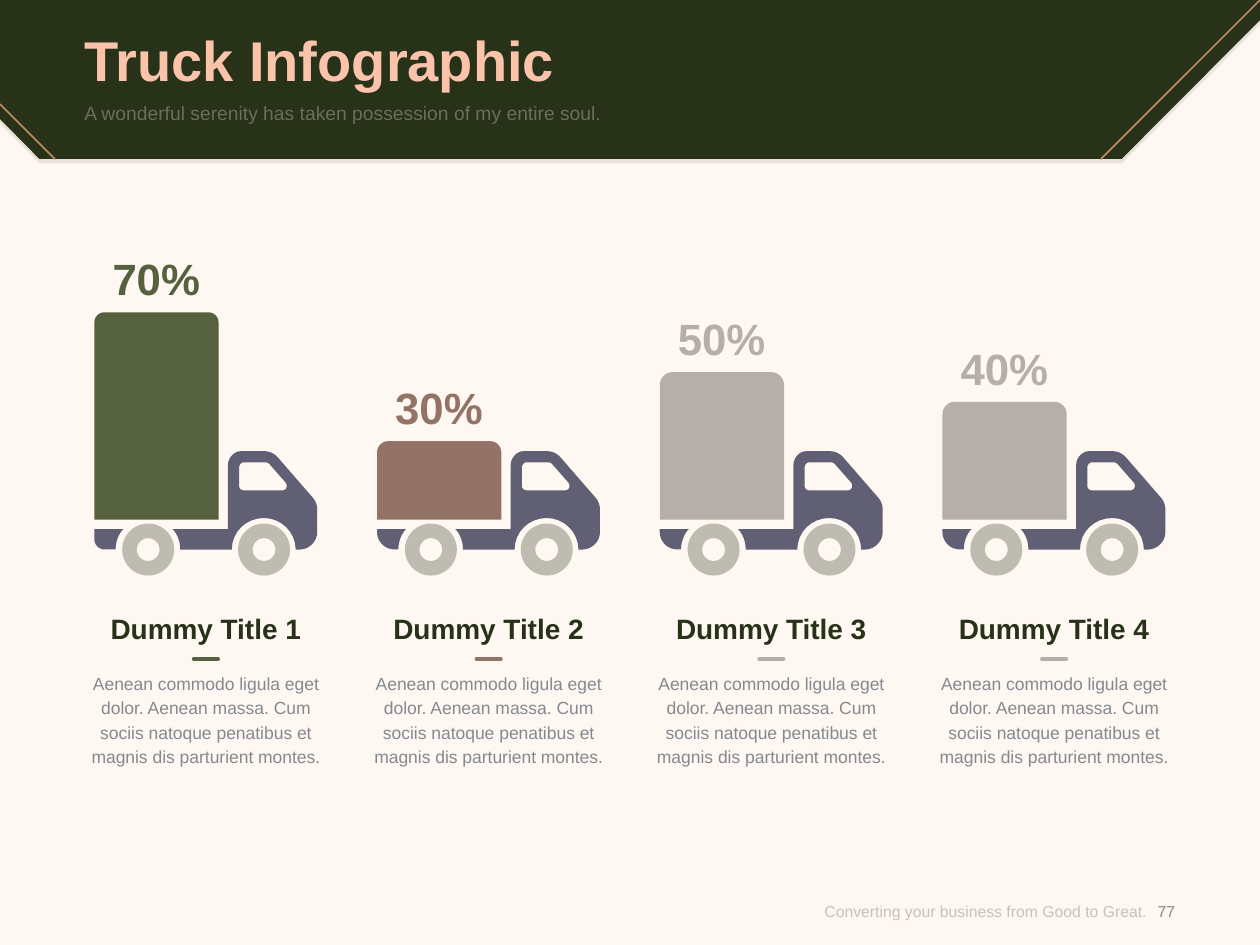
"""Build a slide that compares four shares as trucks with cargo of different heights."""
import lxml.etree
import pptx
import pptx.dml.color
import pptx.enum.shapes
import pptx.enum.text
import pptx.oxml.ns
import pptx.util

Pt = pptx.util.Pt
qn = pptx.oxml.ns.qn
ALIGN = pptx.enum.text.PP_ALIGN
ANCHOR = pptx.enum.text.MSO_ANCHOR
SHAPE = pptx.enum.shapes.MSO_SHAPE
STRAIGHT = pptx.enum.shapes.MSO_CONNECTOR.STRAIGHT

DARK_GREEN, PEACH, COPPER = "283218", "FBC4AA", "B98763"
SLATE, GREY = "605F73", "85898F"


def paint(fill, colour, opacity=100):
    fill.solid()
    fill.fore_color.rgb = pptx.dml.color.RGBColor.from_string(colour)
    if opacity < 100:
        element = fill._xPr.find(qn("a:solidFill")).find(qn("a:srgbClr"))
        lxml.etree.SubElement(element, qn("a:alpha"), val=str(opacity * 1000))


def write(shape, text, box, size, colour, opacity=100, bold=False,
          align=ALIGN.CENTER, anchor=ANCHOR.TOP, line_spacing=None):
    shape.left, shape.top, shape.width, shape.height = map(Pt, box)
    frame = shape.text_frame
    frame.word_wrap = True
    frame.auto_size = pptx.enum.text.MSO_AUTO_SIZE.NONE
    frame.vertical_anchor = anchor
    frame.margin_left = frame.margin_top = frame.margin_right = frame.margin_bottom = 0
    paragraph = frame.paragraphs[0]
    paragraph.alignment = align
    paragraph.space_before = Pt(0)
    if line_spacing:
        paragraph.line_spacing = Pt(line_spacing)
    run = paragraph.add_run()
    run.text = text
    run.font.name = "Arial"
    run.font.size = Pt(size)
    run.font.bold = bold
    paint(run.font.fill, colour, opacity)


presentation = pptx.Presentation()
presentation.slide_width, presentation.slide_height = Pt(720), Pt(540)
slide = presentation.slides.add_slide(presentation.slide_layouts[1])
paint(slide.background.fill, "FFF7F2")
shapes = slide.shapes

banner = [(641, 90.8), (22.5, 90.8), (0, 68), (0, 0), (720, 0), (720, 11.5)]
for offset, opacity in ((2.6, 10), (0, 100)):
    points = [(Pt(x), Pt(y + offset)) for x, y in banner]
    builder = shapes.build_freeform(*points[0], scale=1)
    builder.add_line_segments(points[1:])
    shape = builder.convert_to_shape()
    shape.shadow.inherit = False
    shape.line.fill.background()
    paint(shape.fill, DARK_GREEN, opacity)

connectors = [((720, 0, 629.2, 90.8), COPPER, 1), ((0, 59.5, 31.3, 90.8), COPPER, 1)]

title, subtitle = shapes.title, slide.placeholders[1]
for placeholder in (title, subtitle):
    shapes._spTree.append(placeholder._element)
write(title, "Truck Infographic", (48.2, 10.3, 623.6, 46.8), 32, PEACH,
      bold=True, align=ALIGN.LEFT, anchor=ANCHOR.MIDDLE)
write(subtitle, "A wonderful serenity has taken possession of my entire soul.",
      (48.2, 57.8, 623.6, 28), 11, "FFFFFF", opacity=30, align=ALIGN.LEFT)
properties = subtitle.text_frame.paragraphs[0]._p.get_or_add_pPr()
properties.set("marL", "0")
properties.set("indent", "0")
lxml.etree.SubElement(properties, qn("a:buNone"))

write(shapes.add_textbox(0, 0, 0, 0), "Converting your business from Good to Great.",
      (435, 501.2, 220.2, 38.8), 9, "8C8C8C", opacity=50,
      align=ALIGN.RIGHT, anchor=ANCHOR.MIDDLE)
write(shapes.add_textbox(0, 0, 0, 0), "77", (649.5, 501.2, 34, 38.8), 9, GREY,
      anchor=ANCHOR.MIDDLE)

cab = [(44.7, 302.3), (47.6, 305.2, 49.1, 309.5, 49.1, 314), (78.6, 314),
       (78.6, 304, 86.6, 296, 97, 296), (106.7, 296, 115.1, 304, 115.1, 314),
       (117.4, 314), (122.5, 314, 127.4, 309.7, 127.4, 304), (127.4, 291),
       (127.4, 288.7, 126.4, 286, 124.8, 284.3), (105, 261.5),
       (103, 259.2, 100.2, 257.8, 97, 257.8), (83.8, 257.8),
       (80, 257.8, 76.4, 261.5, 76.4, 265.6), (76.4, 302.3)]
window = [(82.8, 267.2), (82.8, 265.7, 83.9, 264.2, 85.4, 264.2), (98, 264.2),
          (98.8, 264.2, 99.5, 264.6, 100.1, 265.2), (109.4, 275.8),
          (109.9, 276.6, 110.3, 277.8, 109.7, 278.8),
          (109.4, 279.7, 108.4, 280.2, 107.2, 280.2), (85.6, 280.2),
          (84, 280.2, 82.8, 279.2, 82.8, 277.7)]
description = ("Aenean commodo ligula eget dolor. Aenean massa. Cum sociis "
               "natoque penatibus et magnis dis parturient montes.")
trucks = [("70%", 118.5, 0.081, 6, "56613D"), ("30%", 44.9, 0.142, 10, "927365"),
          ("50%", 84.4, 0.104, 10, "B6AEAB"), ("40%", 67.4, 0.104, 10, "B6AEAB")]

for index, (share, height, rounding, radius, colour) in enumerate(trucks):
    column = 48.2 + 161.55 * index
    left = column + 5.7
    top = 297 - height

    cargo = shapes.add_shape(SHAPE.ROUND_2_SAME_RECTANGLE,
                             Pt(left), Pt(top), Pt(71), Pt(height))
    cargo.adjustments[0] = rounding
    cargo.adjustments[1] = 0
    cargo.shadow.inherit = False
    cargo.line.fill.background()
    paint(cargo.fill, colour)
    write(shapes.add_textbox(0, 0, 0, 0), share, (left + 2.4, top - 34.5, 66, 30.2),
          25, colour, bold=True)

    tail = [(0, 302.3), (16.6, 302.3), (13.9, 305.2, 12.2, 309.5, 12.2, 314),
            (radius, 314),
            (radius * 0.45, 314, 0, 314 - radius * 0.45, 0, 314 - radius)]
    for outlines in ([cab, window], [tail]):
        builder = None
        for outline in outlines:
            points = []
            for segment in outline:
                if len(segment) == 2:
                    points.append(segment)
                    continue
                x0, y0 = points[-1]
                x1, y1, x2, y2, x3, y3 = segment
                for step in range(1, 9):
                    t = step / 8
                    a, b, c, d = (1 - t) ** 3, 3 * t * (1 - t) ** 2, 3 * t * t * (1 - t), t ** 3
                    points.append((a * x0 + b * x1 + c * x2 + d * x3,
                                   a * y0 + b * y1 + c * y2 + d * y3))
            points = [(Pt(left + x), Pt(y)) for x, y in points]
            if builder is None:
                builder = shapes.build_freeform(*points[0], scale=1)
            else:
                builder.move_to(*points[0])
            builder.add_line_segments(points[1:])
        body = builder.convert_to_shape()
        body.shadow.inherit = False
        body.line.fill.background()
        paint(body.fill, SLATE)

    for centre in (30.8, 97):
        wheel = shapes.add_shape(SHAPE.DONUT, Pt(left + centre - 14.85), Pt(299.2),
                                 Pt(29.7), Pt(29.7))
        wheel.adjustments[0] = 0.28
        wheel.shadow.inherit = False
        wheel.line.fill.background()
        paint(wheel.fill, DARK_GREEN, 30)

    write(shapes.add_textbox(0, 0, 0, 0), f"Dummy Title {index + 1}",
          (column, 349.4, 138.9, 19.4), 16, DARK_GREEN, bold=True)
    write(shapes.add_textbox(0, 0, 0, 0), description, (column, 382.3, 138.9, 57),
          10, GREY, line_spacing=14)
    connectors.append(((column + 62.5, 376.6, column + 76.5, 376.6), colour, 2))

for ends, colour, width in connectors:
    connector = shapes.add_connector(STRAIGHT, *map(Pt, ends))
    connector.line.width = Pt(width)
    paint(connector.line.fill, colour)
    connector.line._ln.set("cap", "rnd")
    lxml.etree.SubElement(connector._element.spPr, qn("a:effectLst"))

presentation.save("out.pptx")
